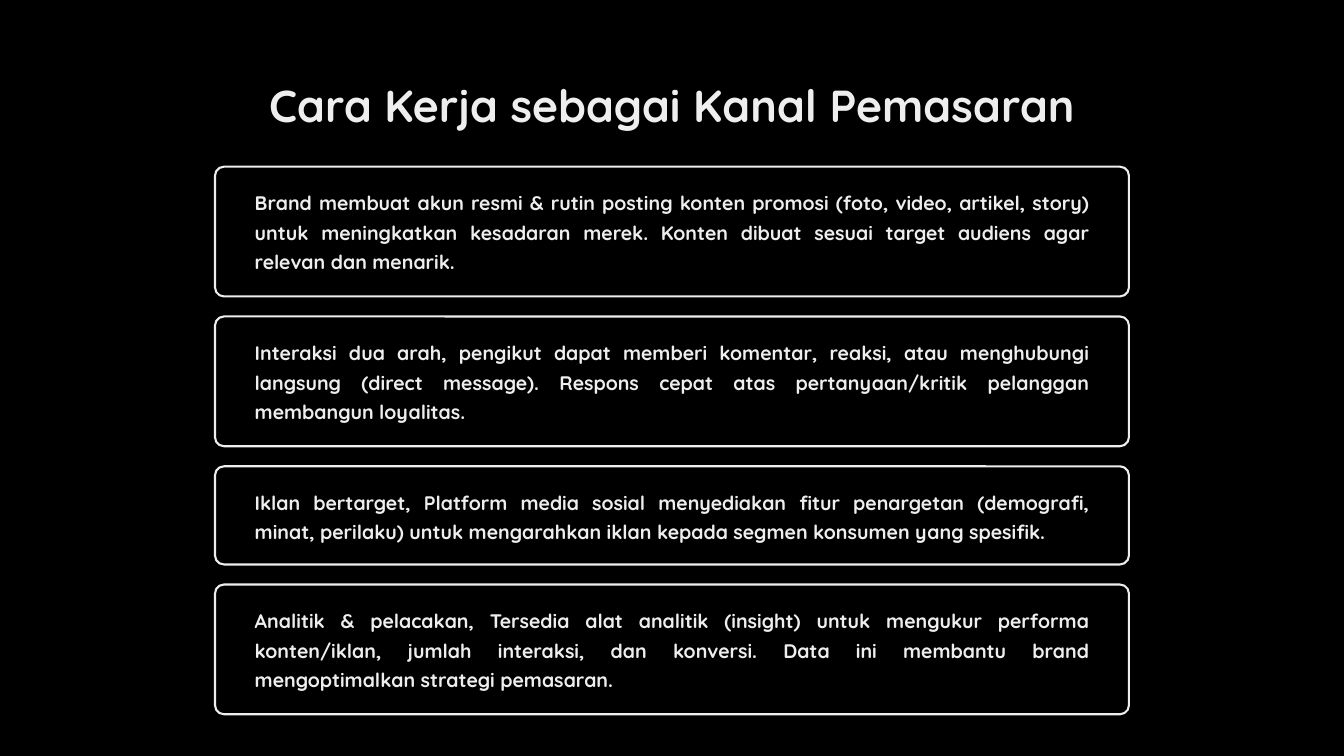
"""Build a slide with a title and four outlined text cards."""
import pptx
import pptx.dml.color
import pptx.enum.shapes
import pptx.enum.text
import pptx.util

Pt = pptx.util.Pt
ALIGN = pptx.enum.text.PP_ALIGN
WHITE, BLACK = "EEEEEE", "000000"
RADIUS, GAP = 9.6, 21.5
INSET_X, INSET_Y = 39.7, 17.2

CARDS = [
    (139, "Brand membuat akun resmi & rutin posting konten promosi (foto, video, artikel, story) "
          "untuk meningkatkan kesadaran merek. Konten dibuat sesuai target audiens agar relevan dan menarik."),
    (139, "Interaksi dua arah, pengikut dapat memberi komentar, reaksi, atau menghubungi langsung "
          "(direct message). Respons cepat atas pertanyaan/kritik pelanggan membangun loyalitas."),
    (105.2, "Iklan bertarget, Platform media sosial menyediakan fitur penargetan (demografi, minat, "
            "perilaku) untuk mengarahkan iklan kepada segmen konsumen yang spesifik."),
    (139, "Analitik & pelacakan, Tersedia alat analitik (insight) untuk mengukur performa konten/iklan, "
          "jumlah interaksi, dan konversi. Data ini membantu brand mengoptimalkan strategi pemasaran."),
]


def paint(color, value):
    color.rgb = pptx.dml.color.RGBColor.from_string(value)


def write(sp, text, size, spacing, align, inset_x=0, inset_y=0):
    tf = sp.text_frame
    tf.word_wrap = True
    tf.auto_size = pptx.enum.text.MSO_AUTO_SIZE.NONE
    tf.vertical_anchor = pptx.enum.text.MSO_ANCHOR.TOP
    tf.margin_left = tf.margin_right = Pt(inset_x)
    tf.margin_top = tf.margin_bottom = Pt(inset_y)
    p = tf.paragraphs[0]
    p.alignment = align
    p.line_spacing = Pt(spacing)
    p.space_before = Pt(0)
    r = p.add_run()
    r.text = text
    r.font.name = "Quicksand"
    r.font.size = Pt(size)
    r.font.bold = True
    paint(r.font.color, WHITE)


prs = pptx.Presentation()
prs.slide_width, prs.slide_height = Pt(1440), Pt(810)
s = prs.slides.add_slide(prs.slide_layouts[5])
s.background.fill.solid()
paint(s.background.fill.fore_color, BLACK)

title = s.shapes.title
title.left, title.top, title.width, title.height = Pt(81), Pt(73.4), Pt(1278), Pt(64)
write(title, "Cara Kerja sebagai Kanal Pemasaran", 48, 67.2, ALIGN.CENTER)

top = 178.6
for height, text in CARDS:
    sp = s.shapes.add_shape(pptx.enum.shapes.MSO_SHAPE.ROUNDED_RECTANGLE,
                            Pt(230.4), Pt(top), Pt(979.2), Pt(height))
    sp.adjustments[0] = RADIUS / height
    sp.shadow.inherit = False
    sp.fill.solid()
    paint(sp.fill.fore_color, BLACK)
    paint(sp.line.color, WHITE)
    sp.line.width = Pt(2.25)
    write(sp, text, 21, 31.5, ALIGN.JUSTIFY, INSET_X, INSET_Y)
    top += height + GAP

prs.save("out.pptx")
